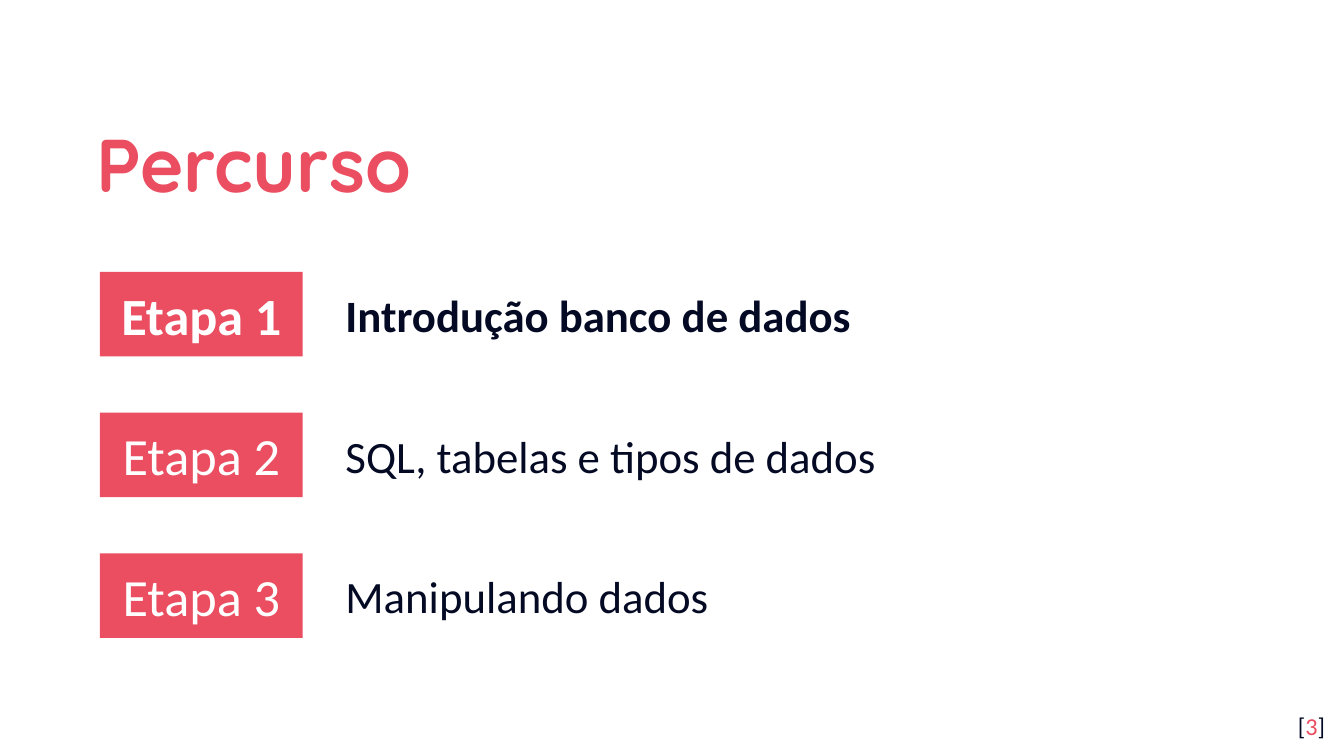
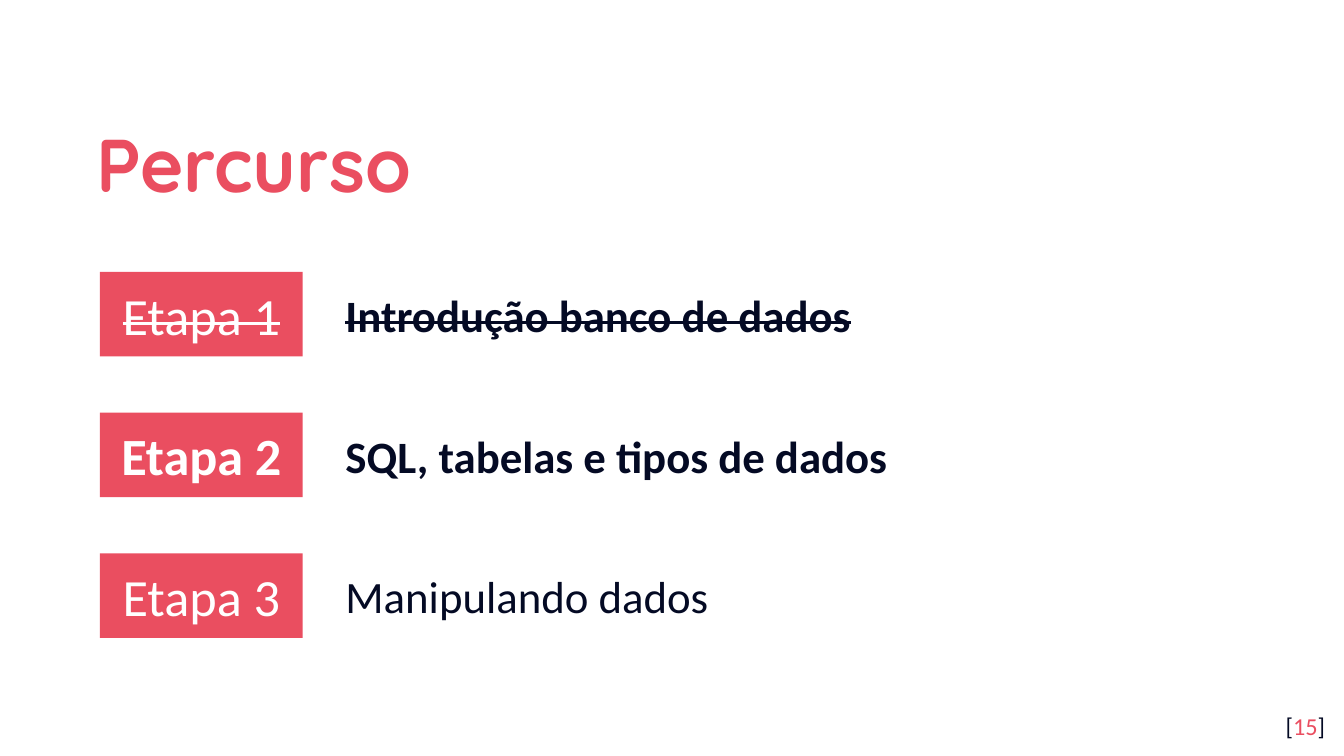
from dataclasses import dataclass
from typing import NamedTuple

from pptx import Presentation
from pptx.dml.color import RGBColor
from pptx.enum.shapes import MSO_SHAPE as Preset
from pptx.enum.text import MSO_ANCHOR as Anchor, PP_ALIGN as Align
from pptx.shapes.autoshape import Shape
from pptx.slide import Slide
from pptx.text.text import TextFrame, _Paragraph as Paragraph
from pptx.util import Cm, Pt


@dataclass(frozen=True)
class Theme:
    coral: RGBColor = RGBColor(0xEA, 0x4E, 0x60)
    navy: RGBColor = RGBColor(0x04, 0x0A, 0x24)
    white: RGBColor = RGBColor(0xFF, 0xFF, 0xFF)
    title_font: str = "Quicksand"
    body_font: str = "Calibri"
    title_size: int = 40
    label_size: int = 28
    topic_size: int = 24
    number_size: int = 13


class Box(NamedTuple):
    """Left, top, width and height in centimetres."""
    left: float
    top: float
    width: float
    height: float

    def lengths(self) -> tuple[Cm, ...]:
        return tuple(Cm(value) for value in self)


@dataclass(frozen=True)
class Stage:
    topic: str
    topic_width: float = 17.15


@dataclass(frozen=True)
class Mark:
    """How the label and the topic of one stage are emphasised."""
    label_bold: bool = False
    topic_bold: bool = False
    struck: bool = False


@dataclass(frozen=True)
class RoutePage:
    number: int
    marks: tuple[Mark, ...]


THEME = Theme()
TITLE = Box(1.57, 1.78, 20.57, 2.34)
NUMBER = Box(23.77, 13.19, 1.52, 1.09)
FIRST_LABEL = Box(1.89, 5.14, 3.83, 1.6)
STAGE_PITCH = 2.66
TOPIC_LEFT, TOPIC_HEIGHT = 6.28, 1.27
INSET = Cm(0.25)
TOPIC_INSET = Cm(0.13)
HANGING = Cm(1.27)

STAGES = (
    Stage("Introdução banco de dados"),
    Stage("SQL, tabelas e tipos de dados", 18.03),
    Stage("Manipulando dados"),
)
PENDING = Mark()
CURRENT = Mark(label_bold=True, topic_bold=True)
DONE = Mark(topic_bold=True, struck=True)
PAGES = (
    RoutePage(3, (CURRENT, PENDING, PENDING)),
    RoutePage(15, (DONE, CURRENT, PENDING)),
)


def add_run(paragraph: Paragraph, text: str, size: int, color: RGBColor,
            bold: bool = False, struck: bool = False,
            font_name: str = THEME.body_font) -> None:
    run = paragraph.add_run()
    run.text = text
    run.font.name = font_name
    run.font.size = Pt(size)
    run.font.bold = bold
    run.font.color.rgb = color
    if struck:
        run._r.get_or_add_rPr().set("strike", "sngStrike")


def set_frame(frame: TextFrame, anchor: Anchor, vertical_inset: Cm = INSET) -> None:
    frame.word_wrap = True
    frame.vertical_anchor = anchor
    frame.margin_left = frame.margin_right = INSET
    frame.margin_top = frame.margin_bottom = vertical_inset


def add_text_box(slide: Slide, box: Box, anchor: Anchor) -> Paragraph:
    frame = slide.shapes.add_textbox(*box.lengths()).text_frame
    set_frame(frame, anchor)
    return frame.paragraphs[0]


def add_outline(slide: Slide, box: Box) -> Shape:
    """Add an unfilled free outline that follows the edges of the box."""
    left, top, width, height = box.lengths()
    right, bottom = left + width, top + height
    builder = slide.shapes.build_freeform(left, top)
    builder.add_line_segments([(right, top), (right, bottom), (left, bottom)])
    outline = builder.convert_to_shape()
    outline.shadow.inherit = False
    outline.fill.background()
    outline.line.fill.background()
    return outline


def add_title(slide: Slide) -> None:
    paragraph = add_text_box(slide, TITLE, Anchor.MIDDLE)
    paragraph.line_spacing = 1.15
    add_run(paragraph, "Percurso", THEME.title_size, THEME.coral,
            bold=True, font_name=THEME.title_font)


def add_label(slide: Slide, box: Box, text: str, mark: Mark) -> None:
    label = slide.shapes.add_shape(Preset.RECTANGLE, *box.lengths())
    label.shadow.inherit = False
    label.fill.solid()
    label.fill.fore_color.rgb = THEME.coral
    label.line.fill.background()
    set_frame(label.text_frame, Anchor.MIDDLE)
    paragraph = label.text_frame.paragraphs[0]
    paragraph.alignment = Align.CENTER
    add_run(paragraph, text, THEME.label_size, THEME.white,
            mark.label_bold, mark.struck)


def add_topic(slide: Slide, box: Box, text: str, mark: Mark) -> None:
    frame = add_outline(slide, box).text_frame
    set_frame(frame, Anchor.TOP, TOPIC_INSET)
    paragraph = frame.paragraphs[0]
    paragraph.alignment = Align.LEFT
    properties = paragraph._p.get_or_add_pPr()
    properties.set("marL", str(HANGING))
    properties.set("indent", str(-HANGING))
    add_run(paragraph, text, THEME.topic_size, THEME.navy,
            mark.topic_bold, mark.struck)


def add_stage(slide: Slide, index: int, stage: Stage, mark: Mark) -> None:
    label_box = FIRST_LABEL._replace(top=FIRST_LABEL.top + index * STAGE_PITCH)
    topic_top = label_box.top + (label_box.height - TOPIC_HEIGHT) / 2
    topic_box = Box(TOPIC_LEFT, topic_top, stage.topic_width, TOPIC_HEIGHT)
    add_label(slide, label_box, f"Etapa {index + 1}", mark)
    add_topic(slide, topic_box, stage.topic, mark)


def add_page_number(slide: Slide, number: int) -> None:
    paragraph = add_text_box(slide, NUMBER, Anchor.TOP)
    paragraph.alignment = Align.RIGHT
    for text, color in (("[", THEME.navy), (str(number), THEME.coral),
                        ("]", THEME.navy)):
        add_run(paragraph, text, THEME.number_size, color)


def main() -> None:
    deck = Presentation()
    deck.slide_width, deck.slide_height = Cm(25.4), Cm(14.29)
    blank = deck.slide_layouts[6]
    for page in PAGES:
        slide = deck.slides.add_slide(blank)
        add_title(slide)
        for index, (stage, mark) in enumerate(zip(STAGES, page.marks)):
            add_stage(slide, index, stage, mark)
        add_page_number(slide, page.number)
    deck.save("out.pptx")


if __name__ == "__main__":
    main()
